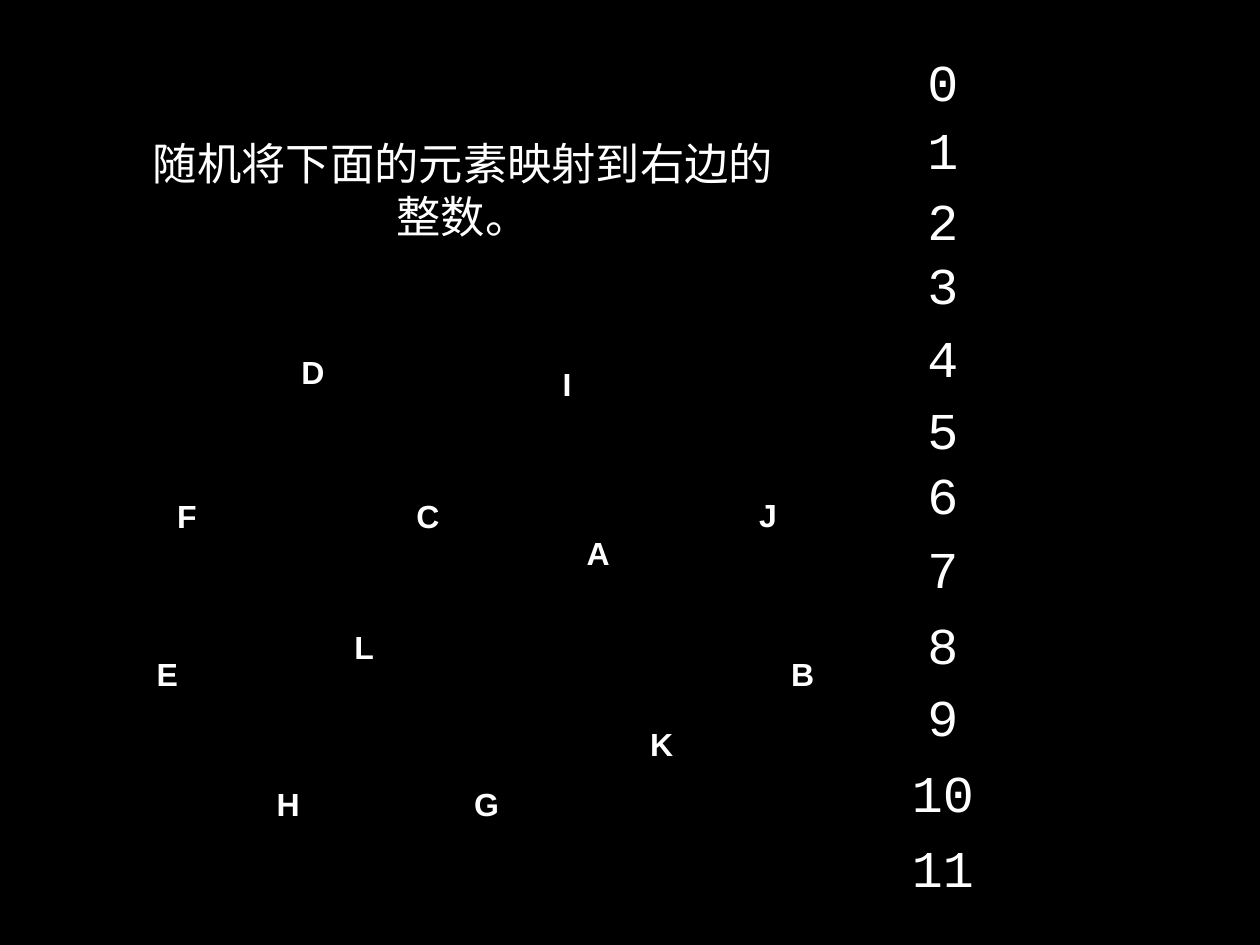
from pptx import Presentation
from pptx.dml.color import RGBColor
from pptx.enum.shapes import MSO_SHAPE
from pptx.enum.text import MSO_ANCHOR, MSO_AUTO_SIZE, PP_ALIGN
from pptx.util import Cm, Pt

BLACK = RGBColor(0x00, 0x00, 0x00)
WHITE = RGBColor(0xFF, 0xFF, 0xFF)
ELLIPSE = MSO_SHAPE.OVAL
CENTER = PP_ALIGN.CENTER
MIDDLE = MSO_ANCHOR.MIDDLE
NO_AUTOFIT = MSO_AUTO_SIZE.NONE
GROW = MSO_AUTO_SIZE.SHAPE_TO_FIT_TEXT

TITLE_ONLY = 5
INSET = 0.15
ELEMENT_SIZE = 1.78
INTEGER_HEIGHT = 2.01
DIGIT_WIDTH = 0.89

# Offsets in cm from the top left corner of the region
ELEMENTS = {
    "H": (3.46, 12.39), "B": (18.21, 8.64), "C": (7.47, 4.11),
    "D": (4.17, 0), "E": (0, 8.64), "L": (5.64, 7.87),
    "G": (9.15, 12.39), "A": (12.35, 5.18), "I": (11.46, 0.33),
    "J": (17.22, 4.09), "K": (14.17, 10.67), "F": (0.56, 4.11),
}
INTEGER_TOPS = (0, 1.95, 4.01, 5.84, 7.92, 9.98,
                11.86, 13.99, 16.15, 18.23, 20.39, 22.55)


def write_text(frame, text, *, font, size, bold=False, wrap=True, fit=NO_AUTOFIT):
    frame.word_wrap = wrap
    frame.auto_size = fit
    frame.vertical_anchor = MIDDLE
    frame.margin_left = frame.margin_right = Cm(INSET)
    frame.margin_top = frame.margin_bottom = Cm(INSET)
    paragraph = frame.paragraphs[0]
    paragraph.alignment = CENTER
    run = paragraph.add_run()
    run.text = text
    run.font.name = font
    run.font.size = Pt(size)
    run.font.bold = bold
    run.font.color.rgb = WHITE


def place_instruction(slide, left, top, width, height):
    instruction = slide.shapes.title
    instruction.left, instruction.top = Cm(left), Cm(top)
    instruction.width, instruction.height = Cm(width), Cm(height)
    write_text(instruction.text_frame, "随机将下面的元素映射到右边的整数。",
               font="Courier New", size=36)


def scatter_elements(slide, left, top):
    for letter, (across, down) in ELEMENTS.items():
        element = slide.shapes.add_shape(
            ELLIPSE, Cm(left + across), Cm(top + down),
            Cm(ELEMENT_SIZE), Cm(ELEMENT_SIZE))
        element.shadow.inherit = False
        element.fill.background()
        element.line.fill.background()
        write_text(element.text_frame, letter, font="Arial", size=26, bold=True)


def list_integers(slide, left, top, width):
    for value, down in enumerate(INTEGER_TOPS):
        digits = str(value)
        box_width = len(digits) * DIGIT_WIDTH + 2 * INSET
        integer = slide.shapes.add_textbox(
            Cm(left + (width - box_width) / 2), Cm(top + down),
            Cm(box_width), Cm(INTEGER_HEIGHT))
        write_text(integer.text_frame, digits, font="Courier New", size=42,
                   wrap=False, fit=GROW)


def main():
    presentation = Presentation()
    presentation.slide_width = Cm(36.12)
    presentation.slide_height = Cm(27.1)
    slide = presentation.slides.add_slide(presentation.slide_layouts[TITLE_ONLY])
    slide.background.fill.solid()
    slide.background.fill.fore_color.rgb = BLACK
    scatter_elements(slide, 3.91, 9.78)
    place_instruction(slide, 3.94, 3.76, 18.67, 3.35)
    list_integers(slide, 25.98, 1.3, 2.1)
    presentation.save("out.pptx")


if __name__ == "__main__":
    main()
